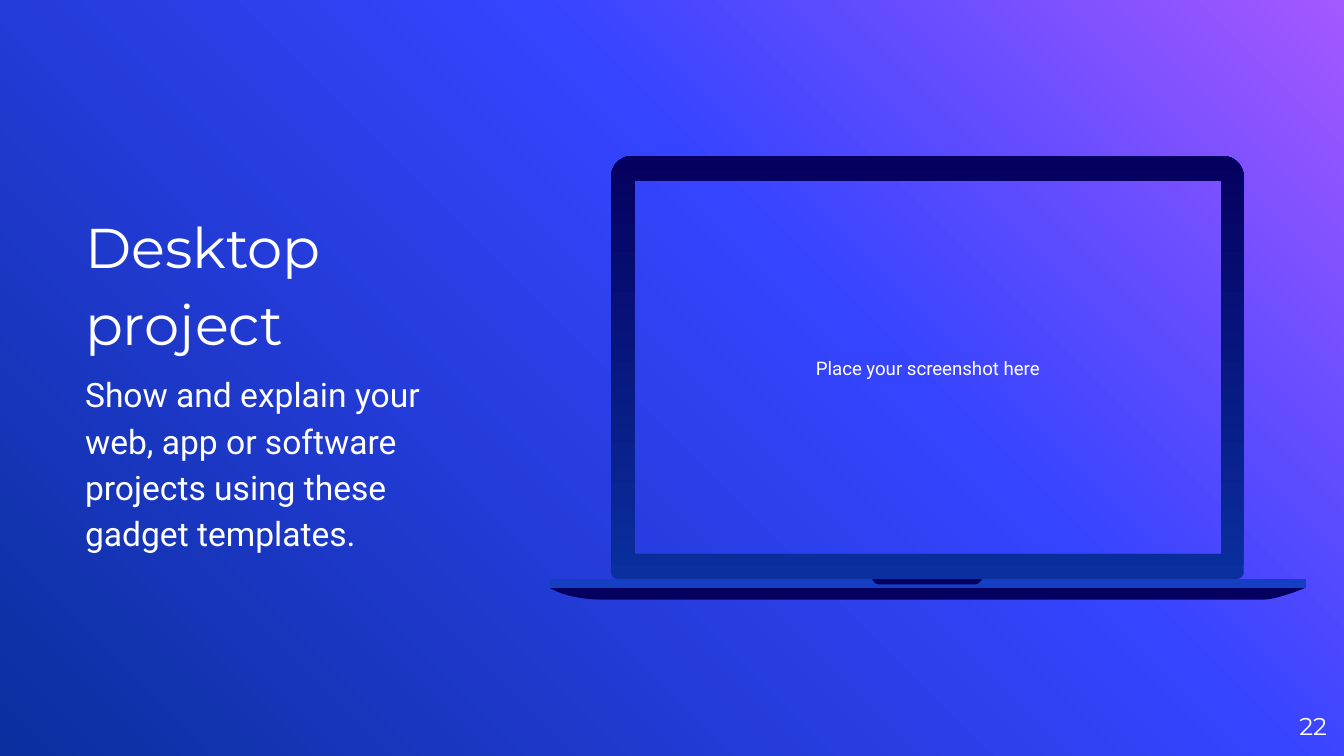
from copy import deepcopy
from dataclasses import dataclass

from pptx import Presentation
from pptx.dml.color import RGBColor as Rgb
from pptx.enum import shapes, text
from pptx.oxml import ns
from pptx.util import Pt


@dataclass(frozen=True)
class Theme:
    white: Rgb = Rgb(0xFF, 0xFF, 0xFF)
    pink: Rgb = Rgb(0xA4, 0x58, 0xFF)
    blue: Rgb = Rgb(0x35, 0x44, 0xFF)
    deep: Rgb = Rgb(0x0A, 0x2F, 0x9E)
    edge: Rgb = Rgb(0x14, 0x3F, 0xC2)
    dark: Rgb = Rgb(0x05, 0x00, 0x60)
    head: str = "Montserrat"
    body: str = "Roboto"
    big: int = 30
    mid: int = 18
    page: int = 13
    small: int = 10


theme = Theme()
deck = Presentation()
deck.slide_width, deck.slide_height = Pt(720), Pt(405)
slide = deck.slides.add_slide(deck.slide_layouts[6])


def outline(*loops):
    """Draw closed loops; a step is a point (x, y) or a cubic curve of six numbers."""
    pen = None
    for start, *steps in loops:
        dots, last = [], start
        for step in steps:
            if len(step) == 2:
                dots.append(step)
            else:
                knots = [last, step[:2], step[2:4], step[4:]]
                for t in (i / 12 for i in range(1, 13)):
                    part = ((1 - t) ** 3, 3 * t * (1 - t) ** 2, 3 * t * t * (1 - t), t ** 3)
                    dots.append([sum(w * k[a] for w, k in zip(part, knots)) for a in (0, 1)])
            last = step[-2:]
        first = [Pt(v) for v in start]
        if pen is None:
            pen = slide.shapes.build_freeform(*first, scale=1.0)
        else:
            pen.move_to(*first)
        pen.add_line_segments([(Pt(x), Pt(y)) for x, y in dots], close=True)
    shape = pen.convert_to_shape()
    shape.shadow.inherit = False
    shape.line.fill.background()
    return shape


def write(spot, rows, align, inset=0):
    """Add a middle-anchored text box; each row is (text, font, size)."""
    frame = slide.shapes.add_textbox(*(Pt(v) for v in spot)).text_frame
    frame.word_wrap = True
    frame.vertical_anchor = text.MSO_ANCHOR.MIDDLE
    frame.margin_left = frame.margin_right = Pt(inset)
    frame.margin_top = frame.margin_bottom = Pt(inset)
    for i, (words, font, size) in enumerate(rows):
        para = frame.add_paragraph() if i else frame.paragraphs[0]
        para.alignment = align
        run = para.add_run()
        run.text = words
        run.font.name, run.font.size = font, Pt(size)
        run.font.color.rgb = theme.white
    return frame


# Background: three-stop diagonal gradient
back = slide.background.fill
back.gradient()
back.gradient_angle = 225
stops = slide.element.find(".//" + ns.qn("a:gsLst"))
stops.append(deepcopy(stops[-1]))
tones = [(0, theme.pink), (0.39, theme.blue), (1, theme.deep)]
for stop, (place, tone) in zip(back.gradient_stops, tones):
    stop.position, stop.color.rgb = place, tone

# Page number and screen caption
align = text.PP_ALIGN
write((667.4, 373.5, 43.4, 31), [("22", theme.head, theme.page)], align.RIGHT)
write((339.5, 96.7, 315, 200.5),
      [("Place your screenshot here", theme.body, theme.small)], align.CENTER, 7.2)

# Laptop lid, with the screen cut out
lid = outline(
    [(654.9, 83.6), (338.7, 83.6), (332.6, 83.6, 327.4, 88.7, 327.4, 94.9),
     (327.4, 306.6), (327.4, 308.6, 329, 310.2, 331, 310.2),
     (662.7, 310.2), (664.7, 310.2, 666.3, 308.6, 666.3, 306.6),
     (666.3, 94.9), (666.3, 88.7, 661.1, 83.6, 654.9, 83.6)],
    [(654.3, 296.8), (340.1, 296.8), (340.1, 97), (654.3, 97)],
)
lid.fill.gradient()
lid.fill.gradient_angle = 90
for stop, place, tone in zip(lid.fill.gradient_stops, (0, 1), (theme.deep, theme.dark)):
    stop.position, stop.color.rgb = place, tone

# Laptop base: underside, front edge, notch
under = outline([(294.4, 314.8), (294.4, 314.8, 303, 321.3, 324, 321.3),
                 (676.1, 321.3), (684.7, 321.3, 699.6, 314.8, 699.6, 314.8)])
front = slide.shapes.add_shape(shapes.MSO_SHAPE.RECTANGLE,
                               Pt(294.4), Pt(310.2), Pt(405.2), Pt(4.8))
front.shadow.inherit = False
front.line.fill.background()
notch = outline([(467.2, 310.2), (467.2, 310.2, 468.6, 313, 470.4, 313),
                 (522.8, 313), (524.4, 313, 526.2, 310.2, 526.2, 310.2)])
for part, tone in ((under, theme.dark), (front, theme.edge), (notch, theme.dark)):
    part.fill.solid()
    part.fill.fore_color.rgb = tone

# Title and description
copy = write((45.6, 61.8, 200, 281.5), [
    ("Desktop project", theme.head, theme.big),
    ("Show and explain your web, app or software projects using these gadget templates.",
     theme.body, theme.mid),
], align.LEFT)
for para in copy.paragraphs:
    para.line_spacing, para.space_before = 1.15, Pt(6)

deck.save("out.pptx")
